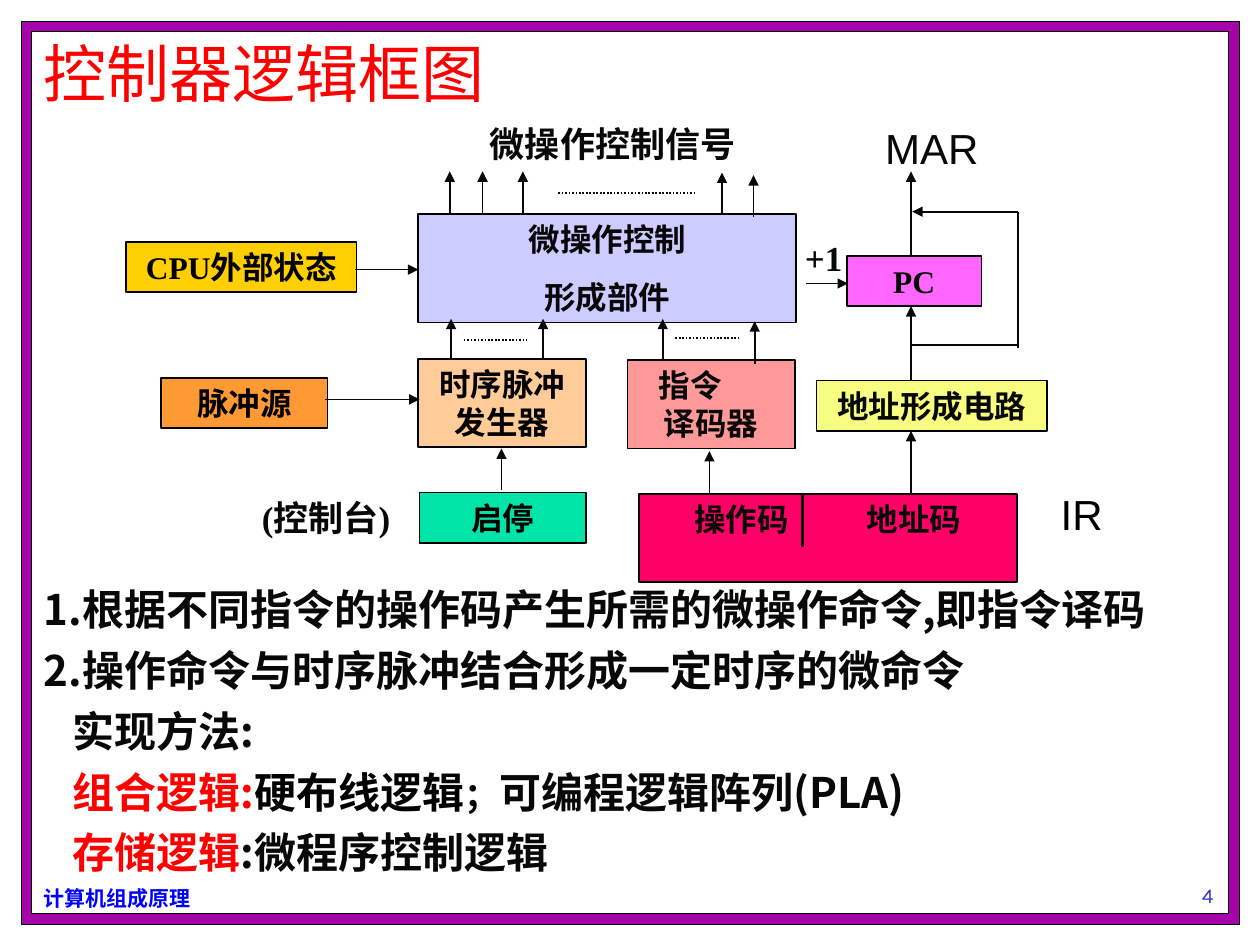
"""Build the slide showing the logic block diagram of a CPU controller."""
from lxml import etree
from pptx import Presentation
from pptx import util as u
from pptx.dml.color import RGBColor
from pptx.enum import dml, shapes, text
from pptx.oxml.ns import qn

COLS, ROWS = 100, 75
SERIF, SANS, CJK, TITLE = "Times New Roman", "Arial", "Noto Sans CJK SC", "Karla"
C = {"ink": "080808", "black": "000000", "white": "FFFFFF", "frame": "A603AB",
     "red": "FF0000", "blue": "0000FF", "number": "3333CC", "lilac": "CCCCFF",
     "peach": "FFCC99", "rose": "FF9999", "crimson": "FF0066", "green": "00E4A8",
     "lemon": "F7FD81", "pink": "FF66FF", "gold": "FFCF01", "orange": "FF9933"}
LEFT, CENTER = text.PP_ALIGN.LEFT, text.PP_ALIGN.CENTER
TOP, BOTTOM = text.MSO_ANCHOR.TOP, text.MSO_ANCHOR.BOTTOM

prs = Presentation()
prs.slide_width, prs.slide_height = u.Inches(10), u.Inches(7.5)
col, row = prs.slide_width / COLS, prs.slide_height / ROWS
s = prs.slides.add_slide(prs.slide_layouts[6])


def write(sp, lines, size, name, color, bold=True, align=LEFT, anchor=TOP, gap=0):
    tf = sp.text_frame
    tf.word_wrap, tf.vertical_anchor = True, anchor
    for i, line in enumerate(lines):
        p = tf.paragraphs[0] if i == 0 else tf.add_paragraph()
        p.alignment = align
        if i:
            p.space_before = u.Pt(gap)
        p.add_run().text = line
        p.font.size, p.font.name, p.font.bold = u.Pt(size), name, bold
        p.font.color.rgb = RGBColor.from_string(C[color])
    return tf


def box(x, y, w, h, fill=None, weight=1):
    area = [int(v) for v in (x * col, y * row, w * col, h * row)]
    if fill is None:
        return s.shapes.add_textbox(*area)
    sp = s.shapes.add_shape(shapes.MSO_SHAPE.RECTANGLE, *area)
    sp.shadow.inherit = False
    sp.fill.solid()
    sp.fill.fore_color.rgb = RGBColor.from_string(C[fill])
    sp.line.color.rgb = RGBColor.from_string(C["black"])
    sp.line.width = u.Pt(weight)
    return sp


box(1.7, 1.7, 96.7, 71.7, "frame", 0.75)
box(2.5, 2.5, 95, 70, "white", 0.75)

for x, y, w, h, fill, color, lines, gap in [
    (33.2, 17, 30, 8.6, "lilac", "ink", ["微操作控制", "形成部件"], 11.2),
    (33.2, 28.5, 13.3, 7, "peach", "black", ["时序脉冲发生器"], 0),
    (49.8, 28.6, 13.3, 7, "rose", "ink", ["指令", "译码器"], 0),
    (50.7, 39.2, 30, 7, "crimson", "ink", ["\t操作码\t地址码"], 0),
    (33.3, 39.1, 13.2, 4, "green", "black", ["启停"], 0),
    (64.8, 30.2, 18.3, 4, "lemon", "ink", ["地址形成电路"], 0),
    (67.2, 20.3, 10.7, 4, "pink", "ink", ["PC"], 0),
    (10, 19.2, 18.3, 4, "gold", "black", ["CPU外部状态"], 0),
    (12.8, 30, 13.2, 4, "orange", "black", ["脉冲源"], 0),
]:
    tf = write(box(x, y, w, h, fill), lines, 18, SERIF, color, align=CENTER, gap=gap)
    p = tf.paragraphs[0]
    if lines[0] == "指令":
        p.alignment = LEFT
        p._p.get_or_add_pPr().set("marL", str(int(1.5 * col)))
    elif "\t" in lines[0]:
        p.alignment = LEFT
        tabs = etree.Element(qn("a:tabLst"))
        for stop in (3.4, 17.1):
            etree.SubElement(tabs, qn("a:tab"), pos=str(int(stop * col)), algn="l")
        p._p.pPr.insert(0, tabs)

signals = [(x, 17, x, 13.6) for x in (35.7, 38.3, 41.5)]
signals += [(57.3, 17.1, 57.3, 13.7), (59.8, 17.2, 59.8, 13.9)]
inputs = [(x, 28.6, x, 25.3) for x in (35.8, 43.1, 52.6)] + [(59.9, 28.9, 59.9, 25.5)]
feeds = [(39.8, 38.9, 39.8, 35.6), (56.3, 39.1, 56.3, 35.8), (28.2, 21.4, 33.2, 21.4),
         (25.8, 31.7, 33.3, 31.7), (64, 22.5, 67.3, 22.5)]
address = [(72.3, 39.2, 72.3, 34.2), (72.3, 30.2, 72.3, 24.3),
           (72.3, 20.3, 72.3, 13.6), (80.8, 16.8, 72.4, 16.8)]
loop = [(80.8, 27.6, 80.8, 16.8), (80.7, 27.4, 72.3, 27.4)]
dots = [(44.3, 15.3, 55.1, 15.3), (36.8, 27, 41.8, 27), (53.6, 26.8, 58.6, 26.8)]
divider = [(63.7, 39.2, 63.7, 43.4)]

for kind, group in [("arrow", signals + inputs + feeds + address), ("plain", loop),
                    ("dotted", dots), ("thick", divider)]:
    for x1, y1, x2, y2 in group:
        cn = s.shapes.add_connector(shapes.MSO_CONNECTOR.STRAIGHT, int(x1 * col),
                                    int(y1 * row), int(x2 * col), int(y2 * row))
        cn.line.color.rgb = RGBColor.from_string(C["ink"])
        cn.line.width = u.Pt(1.5 if kind == "thick" else 1)
        if kind == "dotted":
            cn.line.dash_style = dml.MSO_LINE.ROUND_DOT
        if kind == "arrow":
            etree.SubElement(cn.line._get_or_add_ln(), qn("a:tailEnd"), type="triangle")
        etree.SubElement(cn._element.spPr, qn("a:effectLst"))

for x, y, w, h, label, size, name, color, bold, align, anchor in [
    (2.5, 0, 85, 9.2, "控制器逻辑框图", 36, TITLE, "red", False, LEFT, BOTTOM),
    (37.9, 9.2, 29.2, 4.4, "微操作控制信号", 20, SERIF, "ink", True, LEFT, TOP),
    (62.9, 18.3, 6.7, 4.4, "+1", 20, SERIF, "ink", True, LEFT, TOP),
    (19.8, 38.9, 13.3, 7.7, "(控制台)", 20, SERIF, "ink", True, LEFT, TOP),
    (67.3, 9.2, 13.3, 5, "MAR", 24, SANS, "ink", False, CENTER, TOP),
    (83.2, 38.3, 6, 5, "IR", 24, SANS, "black", False, LEFT, TOP),
    (2.5, 69.8, 16, 3, "计算机组成原理", 12, CJK, "blue", True, LEFT, TOP),
    (93, 67.5, 5.7, 5, "4", 12, TITLE, "number", False, CENTER, BOTTOM),
]:
    write(box(x, y, w, h), [label], size, name, color, bold, align, anchor)

points = ["1.根据不同指令的操作码产生所需的微操作命令,即指令译码",
          "2.操作命令与时序脉冲结合形成一定时序的微命令", "实现方法:", "", ""]
tf = write(box(2.5, 45.8, 95, 21.5), points, 24, CJK, "ink", gap=6)
for p in tf.paragraphs[2:]:
    p._p.get_or_add_pPr().set("marL", str(int(2.3 * col)))
methods = [
    [("组合逻辑:", 24, CJK, "red"), ("硬布线逻辑", 24, SERIF, "black"),
     ("；", 20, SERIF, "black"), ("可编程逻辑阵列(PLA)", 24, CJK, "ink")],
    [("存储逻辑", 24, CJK, "red"), (":微程序控制逻辑", 24, CJK, "ink")],
]
for p, parts in zip(tf.paragraphs[3:], methods):
    p.clear()
    for label, size, name, color in parts:
        r = p.add_run()
        r.text = label
        r.font.size, r.font.name, r.font.bold = u.Pt(size), name, True
        r.font.color.rgb = RGBColor.from_string(C[color])

prs.save("out.pptx")
